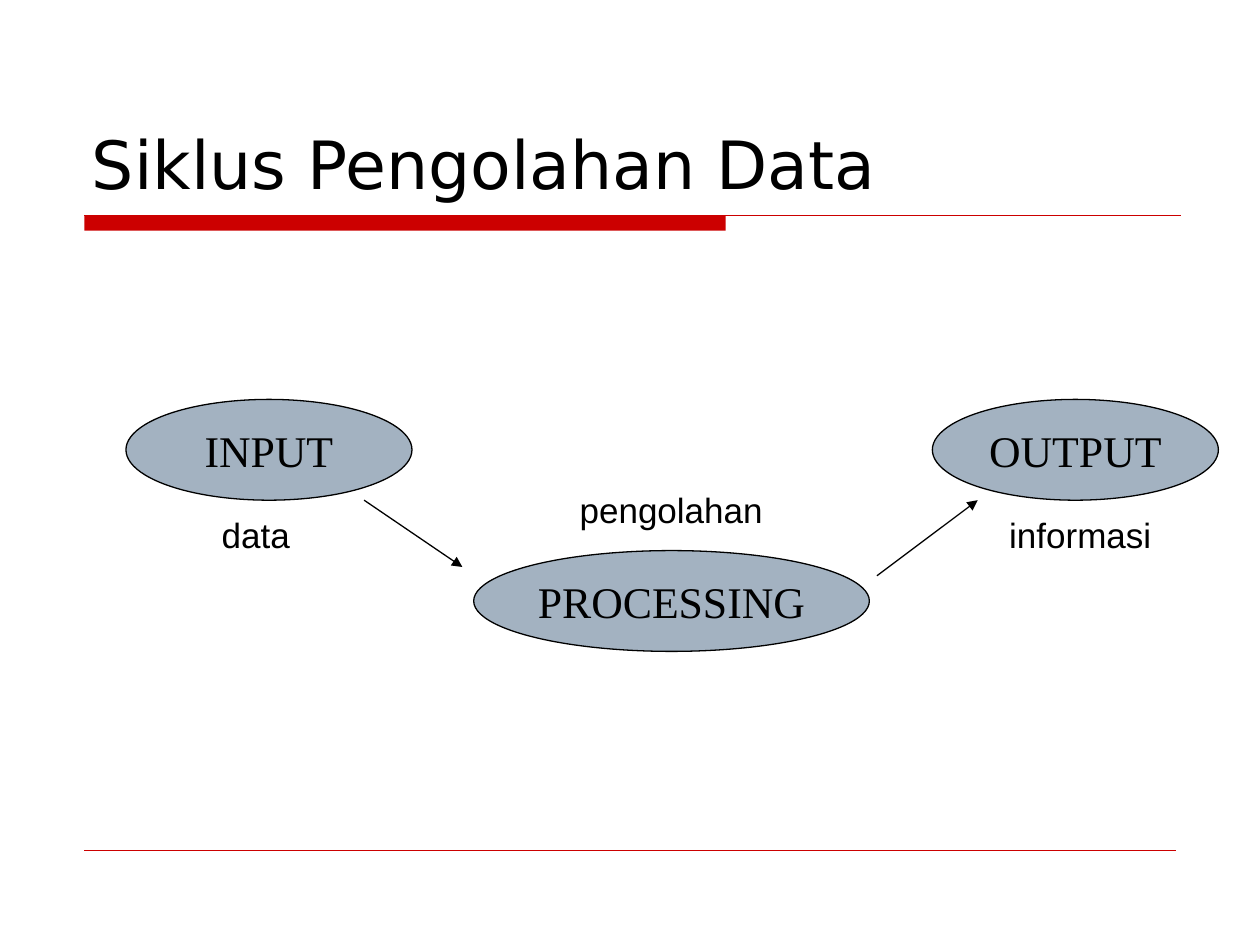
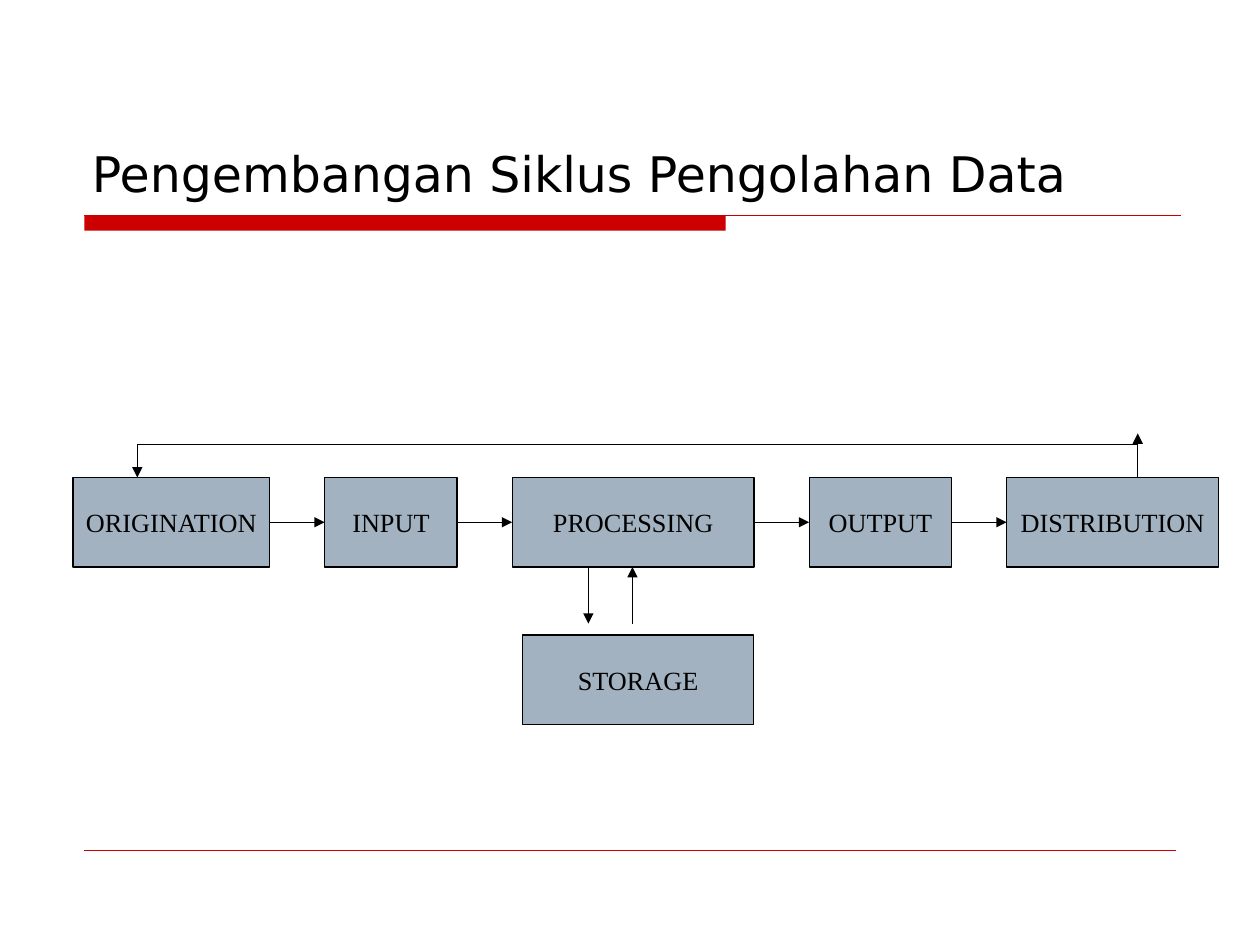
from itertools import pairwise

from lxml.etree import SubElement
from pptx import Presentation
from pptx.dml.color import RGBColor
from pptx.enum.shapes import MSO_CONNECTOR, MSO_SHAPE
from pptx.enum.text import MSO_ANCHOR, MSO_AUTO_SIZE, PP_ALIGN
from pptx.oxml.ns import qn
from pptx.util import Inches, Pt

RED, BLACK, STEEL = "CC0000", "000000", "A3B2C1"
SANS, SERIF, LABEL = "DejaVu Sans", "Times New Roman", "Arial"

# Cycle slide: text, left, top, width
STAGES = [("INPUT", 1, 3.17, 2.27), ("PROCESSING", 3.76, 4.37, 3.14),
          ("OUTPUT", 7.4, 3.17, 2.27)]
STAGE_H = 0.8
# Text, left, top, width
NOTES = [("data", 1.65, 4.03, 0.83), ("informasi", 7.9, 4.03, 1.4),
         ("pengolahan", 4.49, 3.83, 1.89)]
CYCLE_ARROWS = [((2.89, 3.97), (3.67, 4.5)), ((6.96, 4.57), (7.76, 3.97))]

# Extended slide: text, width; the boxes share equal gaps between two edges
STEPS = [("ORIGINATION", 1.56), ("INPUT", 1.05), ("PROCESSING", 1.92),
         ("OUTPUT", 1.13), ("DISTRIBUTION", 1.68)]
ROW_LEFT, ROW_RIGHT, ROW_TOP, STEP_H = 0.58, 9.67, 3.79, 0.71
STORE = ("STORAGE", 4.15, 5.04, 1.83)
STORE_DOWN, STORE_UP, STORE_END = 4.67, 5.02, 4.95
LOOP_LEFT, LOOP_RIGHT, LOOP_TOP, LOOP_TIP = 1.09, 9.03, 3.53, 3.44


def color(code):
    return RGBColor.from_string(code)


def write(frame, text, font, size, align=PP_ALIGN.LEFT):
    para = frame.paragraphs[0]
    para.alignment = align
    run = para.add_run()
    run.text = text
    run.font.name = font
    run.font.size = Pt(size)
    run.font.color.rgb = color(BLACK)


def pad(frame):
    frame.margin_left = frame.margin_right = Inches(0.11)
    frame.margin_top = frame.margin_bottom = Inches(0.05)


def add_line(slide, start, end, code=BLACK, width=0.75, arrow=False):
    line = slide.shapes.add_connector(
        MSO_CONNECTOR.STRAIGHT, *(Inches(v) for v in (*start, *end)))
    line.line.color.rgb = color(code)
    line.line.width = Pt(width)
    if arrow:
        SubElement(line._element.spPr.find(qn("a:ln")), qn("a:tailEnd"),
                   type="triangle")
    SubElement(line._element.spPr, qn("a:effectLst"))
    return line


def add_arrow(slide, start, end):
    return add_line(slide, start, end, arrow=True)


def add_block(slide, kind, left, top, width, height, fill):
    block = slide.shapes.add_shape(
        kind, *(Inches(v) for v in (left, top, width, height)))
    block.shadow.inherit = False
    block.fill.solid()
    block.fill.fore_color.rgb = color(fill)
    return block


def add_node(slide, kind, text, left, top, width, height, size):
    node = add_block(slide, kind, left, top, width, height, STEEL)
    node.line.color.rgb = color(BLACK)
    node.line.width = Pt(0.75)
    frame = node.text_frame
    pad(frame)
    frame.word_wrap = False
    frame.vertical_anchor = MSO_ANCHOR.MIDDLE
    write(frame, text, SERIF, size, PP_ALIGN.CENTER)
    return node


def add_note(slide, text, left, top, width):
    box = slide.shapes.add_textbox(
        *(Inches(v) for v in (left, top, width, 0.44)))
    frame = box.text_frame
    pad(frame)
    frame.word_wrap = True
    frame.auto_size = MSO_AUTO_SIZE.SHAPE_TO_FIT_TEXT
    write(frame, text, LABEL, 20)


def add_page(deck, text, size):
    """Add a slide with the shared band, rules and title style."""
    slide = deck.slides.add_slide(deck.slide_layouts[5])
    band = add_block(slide, MSO_SHAPE.RECTANGLE, 0.67, 1.71, 5.09, 0.12, RED)
    band.line.fill.background()
    add_line(slide, (0.67, 1.71), (9.37, 1.71), RED, 1)
    add_line(slide, (0.67, 6.75), (9.33, 6.75), RED, 0.25)
    title = slide.shapes.title
    title.left, title.top = Inches(0.63), Inches(0.33)
    title.width, title.height = Inches(8.75), Inches(1.33)
    title.text_frame.vertical_anchor = MSO_ANCHOR.BOTTOM
    write(title.text_frame, text, SANS, size)
    return slide


def draw_cycle(deck):
    slide = add_page(deck, "Siklus Pengolahan Data", 38)
    for stage in STAGES:
        add_node(slide, MSO_SHAPE.OVAL, *stage, STAGE_H, 25)
    for start, end in CYCLE_ARROWS:
        add_arrow(slide, start, end)
    for note in NOTES:
        add_note(slide, *note)


def draw_flow(deck):
    slide = add_page(deck, "Pengembangan Siklus Pengolahan Data", 28)
    total = sum(width for _, width in STEPS)
    gap = (ROW_RIGHT - ROW_LEFT - total) / (len(STEPS) - 1)
    left, nodes = ROW_LEFT, []
    for text, width in STEPS:
        nodes.append(add_node(slide, MSO_SHAPE.RECTANGLE, text, left, ROW_TOP,
                              width, STEP_H, 15))
        left += width + gap
    for prev, node in pairwise(nodes):
        arrow = add_arrow(slide, (0, 0), (1, 0))
        arrow.begin_connect(prev, 3)
        arrow.end_connect(node, 1)

    add_node(slide, MSO_SHAPE.RECTANGLE, *STORE, STEP_H, 15)
    base = ROW_TOP + STEP_H
    add_arrow(slide, (STORE_DOWN, base), (STORE_DOWN, STORE_END))
    add_arrow(slide, (STORE_UP, STORE_END), (STORE_UP, base))

    add_arrow(slide, (LOOP_RIGHT, ROW_TOP), (LOOP_RIGHT, LOOP_TIP))
    add_line(slide, (LOOP_LEFT, LOOP_TOP), (LOOP_RIGHT, LOOP_TOP))
    add_arrow(slide, (LOOP_LEFT, LOOP_TOP), (LOOP_LEFT, ROW_TOP))


def main():
    deck = Presentation()
    deck.slide_width, deck.slide_height = Inches(10), Inches(7.5)
    draw_cycle(deck)
    draw_flow(deck)
    deck.save("out.pptx")


if __name__ == "__main__":
    main()
